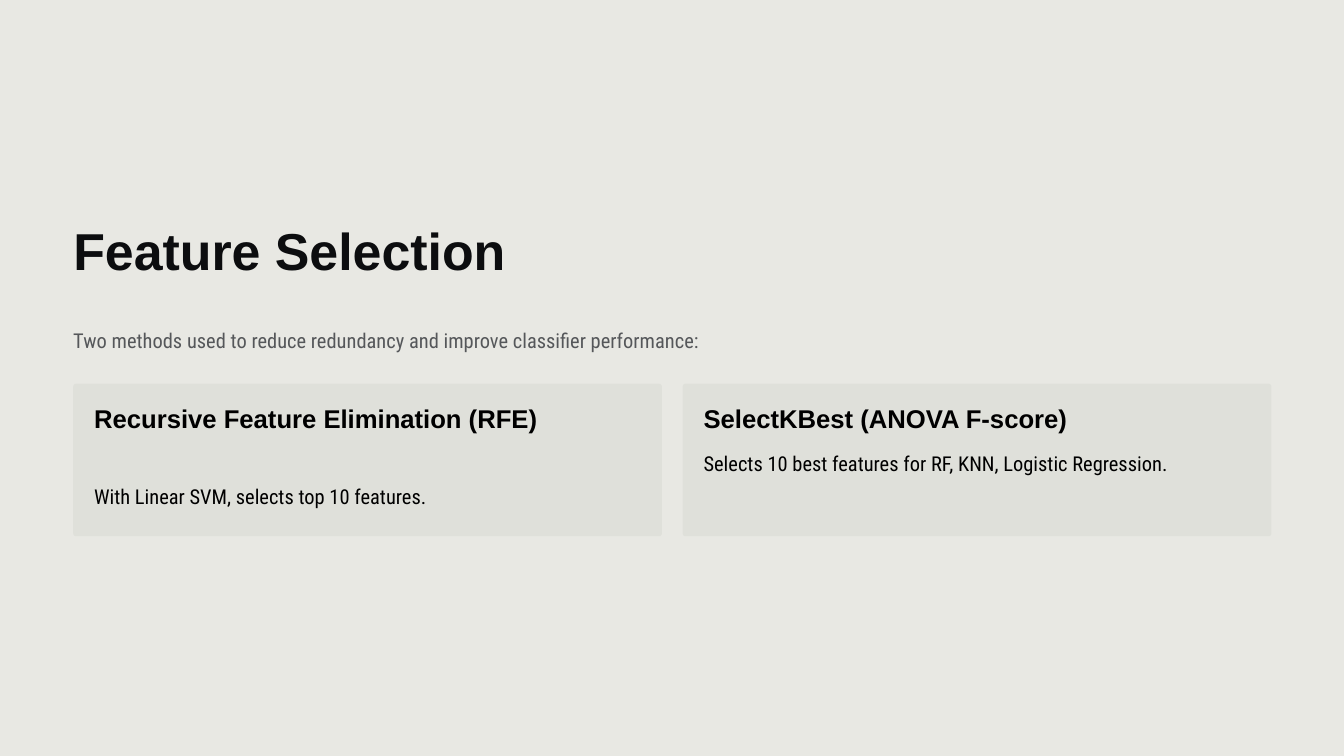
"""Build the Feature Selection slide."""
from pptx import Presentation, util as u
from pptx.dml.color import RGBColor
from pptx.enum import shapes, text
from pptx.oxml.ns import qn
from lxml import etree


def color(value):
    return RGBColor.from_string(value)


class Deck:
    HEAD, BODY = "Arial", "Roboto Condensed"
    PAPER, INK, GREY, BLACK, CARD = "E8E8E3", "0C0D0F", "55575A", "000000", "C8CAC1"

    def __init__(self, prs):
        self.s = prs.slides.add_slide(prs.slide_layouts[5])
        fill = self.s.background.fill
        fill.solid()
        fill.fore_color.rgb = color(self.PAPER)

    def set_text(self, sp, content, font, size, leading, ink, bold=False):
        tf = sp.text_frame
        tf.margin_left = tf.margin_right = tf.margin_top = tf.margin_bottom = 0
        tf.word_wrap = True
        tf.auto_size = text.MSO_AUTO_SIZE.NONE
        tf.vertical_anchor = text.MSO_ANCHOR.TOP
        p = tf.paragraphs[0]
        p.text = content
        p.alignment = text.PP_ALIGN.LEFT
        p.line_spacing = u.Pt(leading)
        p.font.name, p.font.size, p.font.bold = font, u.Pt(size), bold
        p.font.color.rgb = color(ink)

    def title(self, content, x, y, w, h):
        sp = self.s.shapes.title
        sp.left, sp.top, sp.width, sp.height = map(u.Inches, (x, y, w, h))
        self.set_text(sp, content, self.HEAD, 55.6, 69.4, self.INK, True)

    def heading(self, content, x, y, w, h):
        sp = self.s.shapes.add_textbox(*map(u.Inches, (x, y, w, h)))
        self.set_text(sp, content, self.HEAD, 27.5, 34.4, self.BLACK, True)

    def body(self, content, x, y, w, h, ink=BLACK):
        sp = self.s.shapes.add_textbox(*map(u.Inches, (x, y, w, h)))
        self.set_text(sp, content, self.BODY, 21.9, 35.6, ink)

    def card(self, x, y, w, h, radius=0.04, opacity=25):
        sp = self.s.shapes.add_shape(
            shapes.MSO_SHAPE.ROUNDED_RECTANGLE, *map(u.Inches, (x, y, w, h)))
        sp.adjustments[0] = radius / h
        sp.shadow.inherit = False
        sp.line.fill.background()
        sp.fill.solid()
        sp.fill.fore_color.rgb = color(self.CARD)
        rgb = sp.element.spPr.find(qn("a:solidFill")).find(qn("a:srgbClr"))
        etree.SubElement(rgb, qn("a:alpha")).set("val", str(opacity * 1000))


def main():
    prs = Presentation()
    prs.slide_width, prs.slide_height = u.Inches(20), u.Inches(11.25)
    deck = Deck(prs)
    left, top, width, height, gap, pad = 1.09, 5.71, 8.76, 2.27, 0.31, 0.31
    deck.title("Feature Selection", left, 3.21, width, 1.03)
    deck.body("Two methods used to reduce redundancy and improve classifier performance:",
              left, 4.76, 2 * width + gap, 0.6, deck.GREY)
    methods = [
        ("Recursive Feature Elimination (RFE)", 1.01,
         "With Linear SVM, selects top 10 features."),
        ("SelectKBest (ANOVA F-score)", 0.53,
         "Selects 10 best features for RF, KNN, Logistic Regression."),
    ]
    for i, (name, name_height, detail) in enumerate(methods):
        x = left + i * (width + gap)
        deck.card(x, top, width, height)
        inner = width - 2 * pad
        deck.heading(name, x + pad, 5.97, inner, name_height)
        deck.body(detail, x + pad, 5.97 + name_height + 0.09, inner, 0.6)
    prs.save("out.pptx")


if __name__ == "__main__":
    main()
